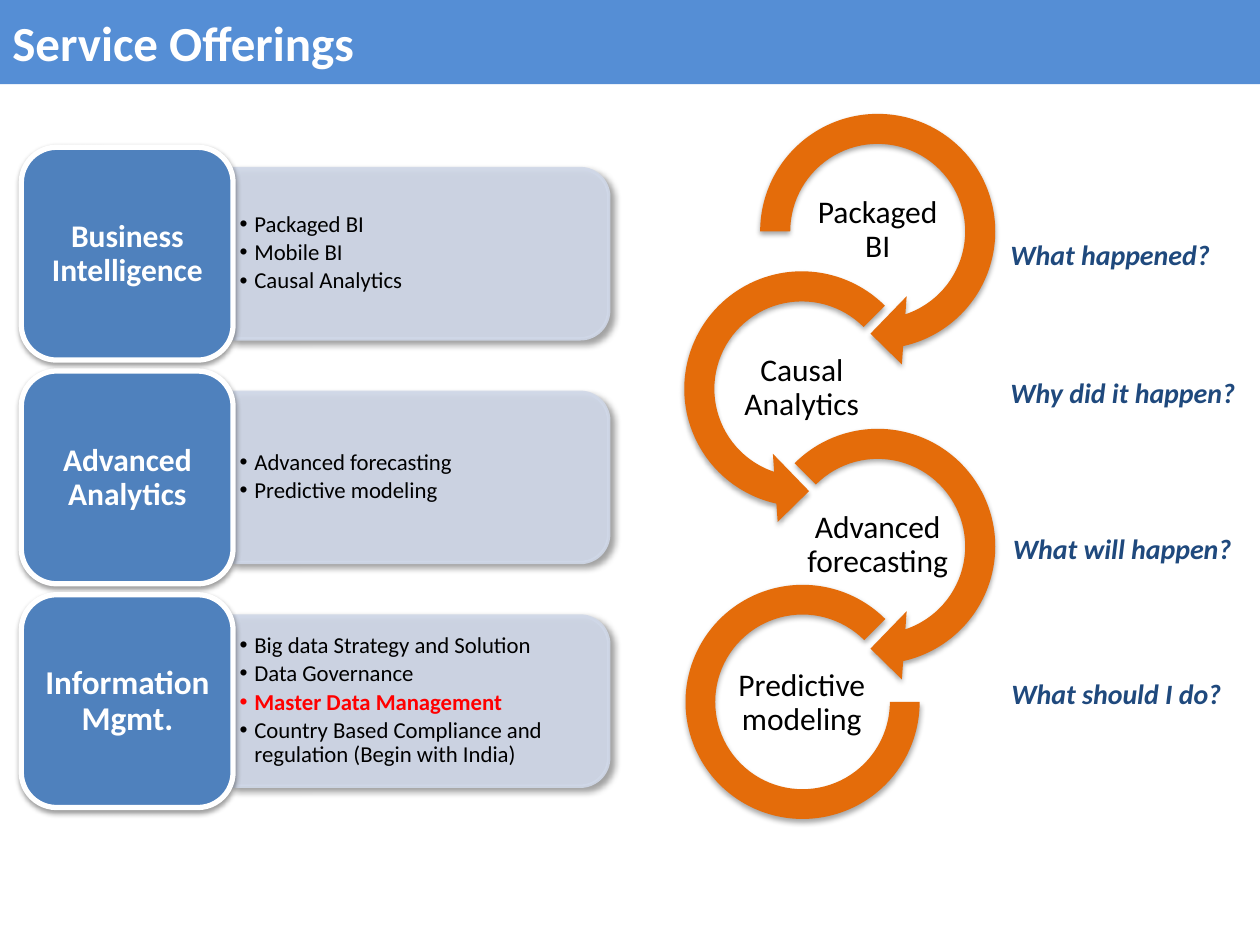
from dataclasses import dataclass

from lxml import etree
from pptx import Presentation
from pptx.dml.color import RGBColor
from pptx.enum.shapes import MSO_SHAPE
from pptx.enum.text import MSO_ANCHOR, MSO_AUTO_SIZE, PP_ALIGN
from pptx.oxml.ns import qn
from pptx.util import Cm, Pt

RECT = MSO_SHAPE.RECTANGLE
ROUNDED = MSO_SHAPE.ROUNDED_RECTANGLE
TWO_ROUNDED = MSO_SHAPE.ROUND_2_SAME_RECTANGLE
ARROW_RIGHT = MSO_SHAPE.CIRCULAR_ARROW
ARROW_LEFT = MSO_SHAPE.LEFT_CIRCULAR_ARROW
ARC = MSO_SHAPE.BLOCK_ARC
MIDDLE = MSO_ANCHOR.MIDDLE
LEFT = PP_ALIGN.LEFT
CENTER = PP_ALIGN.CENTER
FIT_SHAPE = MSO_AUTO_SIZE.SHAPE_TO_FIT_TEXT


@dataclass(frozen=True)
class Theme:
    font: str = "Calibri"
    banner: str = "558ED5"
    tab: str = "4F81BD"
    panel: str = "D0D8E8"
    ring: str = "E46C0A"
    question: str = "1F497D"
    highlight: str = "FF0000"
    light: str = "FFFFFF"
    dark: str = "000000"
    title_size: int = 28
    label_size: int = 18
    large_label_size: int = 19
    question_size: int = 16
    bullet_size: int = 13
    ring_shadow: tuple = (35, 3.1, 1.8, 90)
    tab_shadow: tuple = (38, 3.1, 1.6, 90)
    panel_shadow: tuple = (40, 4, 3, 45)


class SlideBuilder:
    def __init__(self, slide, theme):
        self.slide = slide
        self.theme = theme

    def shape(self, kind, box, fill, line=None, shadow=None, adjustments=(), opacity=None):
        item = self.slide.shapes.add_shape(kind, *map(Cm, box))
        item.fill.solid()
        item.fill.fore_color.rgb = RGBColor.from_string(fill)
        if line:
            item.line.color.rgb = RGBColor.from_string(line[0])
            item.line.width = Pt(line[1])
        else:
            item.line.fill.background()
        for index, value in enumerate(adjustments):
            item.adjustments[index] = value
        if opacity:
            for color in item._element.spPr.iter(qn("a:srgbClr")):
                etree.SubElement(color, qn("a:alpha"), val=str(opacity * 1000))
        item.shadow.inherit = False
        if shadow:
            self.drop_shadow(item, *shadow)
        return item

    def drop_shadow(self, item, opacity, blur, distance, angle):
        effects = item._element.spPr.find(qn("a:effectLst"))
        outer = etree.SubElement(effects, qn("a:outerShdw"), blurRad=str(Pt(blur)),
                                 dist=str(Pt(distance)), dir=str(angle * 60000), rotWithShape="0")
        color = etree.SubElement(outer, qn("a:srgbClr"), val=self.theme.dark)
        etree.SubElement(color, qn("a:alpha"), val=str(opacity * 1000))

    def frame(self, box, insets=(0.25, 0.13), wrap=True):
        frame = self.slide.shapes.add_textbox(*map(Cm, box)).text_frame
        frame.word_wrap = wrap
        frame.margin_left = frame.margin_right = Cm(insets[0])
        frame.margin_top = frame.margin_bottom = Cm(insets[1])
        return frame

    def run(self, paragraph, text, size, color, bold=False, italic=False):
        font_run = paragraph.add_run()
        font_run.text = text
        font = font_run.font
        font.name, font.size = self.theme.font, Pt(size)
        font.bold, font.italic = bold, italic
        font.color.rgb = RGBColor.from_string(color)

    def title(self, text):
        banner = self.shape(RECT, (0, 0, 25.4, 1.7), self.theme.banner)
        banner.text_frame.vertical_anchor = MIDDLE
        paragraph = banner.text_frame.paragraphs[0]
        paragraph.alignment = LEFT
        self.run(paragraph, text, self.theme.title_size, self.theme.light, bold=True)

    def label(self, text, box, insets, size, color, bold=False):
        frame = self.frame(box, insets)
        frame.vertical_anchor = MIDDLE
        paragraph = frame.paragraphs[0]
        paragraph.alignment = CENTER
        paragraph.line_spacing = 0.9
        self.run(paragraph, text, size, color, bold)

    def bullets(self, entries, box):
        frame = self.frame(box, (0.13, 0.08))
        frame.vertical_anchor = MIDDLE
        for index, entry in enumerate(entries):
            paragraph = frame.add_paragraph() if index else frame.paragraphs[0]
            paragraph.line_spacing = 0.9
            paragraph.space_after = Pt(2)
            properties = paragraph._p.get_or_add_pPr()
            properties.set("marL", str(Cm(0.3)))
            properties.set("indent", str(-Cm(0.3)))
            etree.SubElement(properties, qn("a:buFont"), typeface="Arial")
            etree.SubElement(properties, qn("a:buChar"), char="•")
            marked = entry == HIGHLIGHTED
            color = self.theme.highlight if marked else self.theme.dark
            self.run(paragraph, entry, self.theme.bullet_size, color, bold=marked)

    def offering(self, row, name, size, entries):
        theme, shift = self.theme, row * 4.51
        panel = self.shape(TWO_ROUNDED, (6.76, 1.32 + shift, 3.43, 7.59), theme.panel,
                           (theme.panel, 2), theme.panel_shadow, opacity=90)
        panel.rotation = 90
        self.bullets(entries, (4.7, 3.56 + shift, 7.42, 3.1))
        self.shape(ROUNDED, (0.43, 2.97 + shift, 4.27, 4.29), theme.tab,
                   (theme.light, 3), theme.tab_shadow)
        self.label(name, (0.64, 3.18 + shift, 3.86, 3.89), (0.18, 0.1), size, theme.light, True)

    def stage(self, row, name, kind, adjustments):
        left = 13.41 if row % 2 else 14.94
        top = 1.91 + row * 3.175
        box = (13.82, 11.79, 4.72, 4.72) if kind == ARC else (left, top, 5.51, 5.51)
        self.shape(kind, box, self.theme.ring, shadow=self.theme.ring_shadow,
                   adjustments=adjustments)
        self.label(name, (left + 1.22, top + 1.98, 3.07, 1.52), (0.03, 0.03),
                   self.theme.label_size, self.theme.dark)

    def question(self, text, left, top, width):
        frame = self.frame((left, top, width, 0.94), wrap=False)
        frame.auto_size = FIT_SHAPE
        self.run(frame.paragraphs[0], text, self.theme.question_size,
                 self.theme.question, bold=True, italic=True)


HIGHLIGHTED = "Master Data Management"
THEME = Theme()
OFFERINGS = [
    ("Business Intelligence", THEME.label_size,
     ["Packaged BI", "Mobile BI", "Causal Analytics"]),
    ("Advanced Analytics", THEME.label_size,
     ["Advanced forecasting", "Predictive modeling"]),
    ("Information Mgmt.", THEME.large_label_size,
     ["Big data Strategy and Solution", "Data Governance", HIGHLIGHTED,
      "Country Based Compliance and regulation (Begin with India)"]),
]
STAGES = [
    ("Packaged BI", ARROW_RIGHT, (0.11, 11.42, 45, 108, 0.125)),
    ("Causal Analytics", ARROW_LEFT, (0.11, 11.42, 63, 189, 0.125)),
    ("Advanced forecasting", ARROW_RIGHT, (0.11, 11.42, 45, 135, 0.125)),
    ("Predictive modeling", ARC, (0, 189, 0.127)),
]
QUESTIONS = [
    ("What happened?", 20.12, 4.65, 4.62),
    ("Why did it happen?", 20.12, 7.44, 5.11),
    ("What will happen?", 20.17, 10.59, 5.03),
    ("What should I do?", 20.14, 13.51, 4.8),
]


def main():
    deck = Presentation()
    deck.slide_width, deck.slide_height = Cm(25.4), Cm(19.05)
    builder = SlideBuilder(deck.slides.add_slide(deck.slide_layouts[6]), THEME)
    for row, stage in enumerate(STAGES):
        builder.stage(row, *stage)
    builder.title("Service Offerings")
    for row, offering in enumerate(OFFERINGS):
        builder.offering(row, *offering)
    for question in QUESTIONS:
        builder.question(*question)
    deck.save("out.pptx")


if __name__ == "__main__":
    main()
